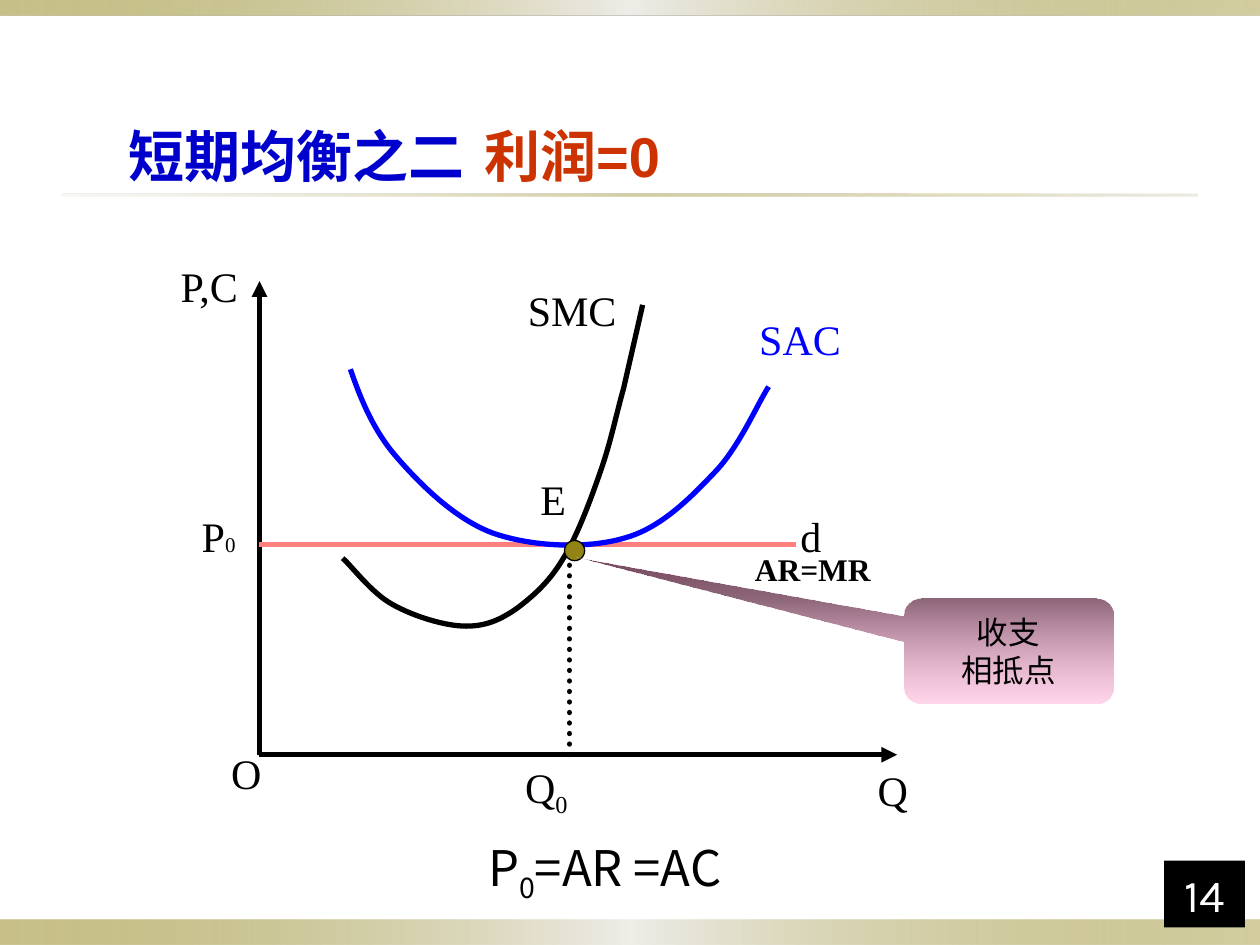
from dataclasses import dataclass

from lxml.etree import SubElement
from pptx import Presentation
from pptx.dml.color import RGBColor
from pptx.enum.dml import MSO_LINE
from pptx.enum.shapes import MSO_CONNECTOR, MSO_SHAPE as Preset
from pptx.enum.text import MSO_ANCHOR as Anchor, PP_ALIGN as Align
from pptx.oxml.ns import qn
from pptx.util import Pt


@dataclass(frozen=True)
class Theme:
    black: str = "000000"
    white: str = "FFFFFF"
    olive: str = "918415"
    title_blue: str = "0000CC"
    title_red: str = "CC3300"
    cost_blue: str = "0000FF"
    demand_pink: str = "FF7F7F"
    title: int = 32
    formula: int = 28
    page: int = 26
    label: int = 24
    note: int = 18
    small: int = 12
    sans: str = "Arial"
    serif: str = "Times New Roman"
    cjk: str = "Noto Sans CJK JP"
    body: str = "Karla"
    stroke: int = 3
    # Gradient stops: position, colour, opacity (all but colour in percent)
    band: tuple = ((0, "918415", 50), (50, "EEEDE8", 100), (100, "918415", 40))
    rule: tuple = ((0, "DCD9CC", 20), (50, "918415", 40), (100, "DCD9CC", 50))
    callout: tuple = ((0, "76475E", 100), (100, "FF99CC", 40))


THEME = Theme()


@dataclass(frozen=True)
class Box:
    left: float
    top: float
    width: float
    height: float

    def inner(self, x, y, width, height):
        return Box(self.left + x, self.top + y, width, height)

    def point(self, x, y):
        return Pt(self.left + x), Pt(self.top + y)

    def lengths(self):
        return [Pt(v) for v in (self.left, self.top, self.width, self.height)]


def rgb(color):
    return RGBColor.from_string(color)


def write(frame, paragraphs, size, font, color, bold=False, align=Align.CENTER,
          anchor=Anchor.MIDDLE, wrap=False):
    """Fill a frame; each paragraph is a list of (text, overrides) runs."""
    for name, value in {"word_wrap": wrap, "vertical_anchor": anchor}.items():
        setattr(frame, name, value)
    for index, runs in enumerate(paragraphs):
        line = frame.add_paragraph() if index else frame.paragraphs[0]
        line.alignment = align
        for text, overrides in runs:
            run = line.add_run()
            run.text = text
            values = {"size": Pt(size), "name": font, "bold": bold}
            extra = dict(overrides)
            baseline = extra.pop("baseline", None)
            for name, value in {**values, **extra}.items():
                setattr(run.font, name, value)
            run.font.color.rgb = rgb(color)
            props = run.font._element
            SubElement(props, qn("a:ea"), typeface=THEME.cjk)
            if baseline:
                props.set("baseline", str(baseline * 1000))


def add_text(slide, box, runs, *style, inset=True, **options):
    frame = slide.shapes.add_textbox(*box.lengths()).text_frame
    write(frame, [runs], *style, **options)
    if not inset:
        for side in ("left", "top", "right", "bottom"):
            setattr(frame, f"margin_{side}", 0)


def add_preset(slide, preset, box, color=None, stops=(), angle=0):
    shape = slide.shapes.add_shape(preset, *box.lengths())
    shape.shadow.inherit = False
    shape.line.fill.background()
    if color:
        shape.fill.solid()
        shape.fill.fore_color.rgb = rgb(color)
    else:
        shape.fill.background()
        gradient(shape._element.spPr.find(qn("a:noFill")), stops, angle)
    return shape


def gradient(placeholder, stops, angle):
    """Put a linear gradient in the place of a noFill element."""
    parent = placeholder.getparent()
    fill = SubElement(parent, qn("a:gradFill"), rotWithShape="1")
    parent.replace(placeholder, fill)
    stop_list = SubElement(fill, qn("a:gsLst"))
    for position, color, opacity in stops:
        stop = SubElement(stop_list, qn("a:gs"), pos=str(position * 1000))
        tint = SubElement(stop, qn("a:srgbClr"), val=color)
        if opacity < 100:
            SubElement(tint, qn("a:alpha"), val=str(opacity * 1000))
    SubElement(fill, qn("a:lin"), ang=str(angle * 60000), scaled="0")


def add_line(slide, start, end, color, dotted=False, arrow=False):
    line = slide.shapes.add_connector(MSO_CONNECTOR.STRAIGHT, *start, *end)
    line.line.color.rgb = rgb(color)
    line.line.width = Pt(THEME.stroke)
    stroke = line.line._get_or_add_ln()
    if dotted:
        line.line.dash_style = MSO_LINE.ROUND_DOT
        stroke.set("cap", "rnd")
    if arrow:
        SubElement(stroke, qn("a:tailEnd"), type="triangle")
    SubElement(line._element.spPr, qn("a:effectLst"))


def add_curve(slide, box, points, color):
    """Draw cubic Bezier pieces: a start point, then three points a piece."""
    start, *rest = [box.point(*point) for point in points]
    builder = slide.shapes.build_freeform(*start)
    builder.add_line_segments(rest, close=False)
    curve = builder.convert_to_shape()
    curve.shadow.inherit = False
    curve.fill.background()
    curve.line.color.rgb = rgb(color)
    curve.line.width = Pt(THEME.stroke)
    outline = curve._element.spPr.find(".//" + qn("a:path"))
    segments = outline.findall(qn("a:lnTo"))
    for first in range(0, len(segments), 3):
        piece = SubElement(outline, qn("a:cubicBezTo"))
        for segment in segments[first:first + 3]:
            piece.append(segment[0])
            outline.remove(segment)


def add_frame(slide, box):
    bands = [(0, 525.6, 720, 14.4, THEME.band), (0, 0, 720, 8.64, THEME.band),
             (36, 110.9, 648, 1.44, THEME.rule)]
    for *place, stops in bands:
        add_preset(slide, Preset.RECTANGLE, box.inner(*place), stops=stops)


def add_title(slide, box):
    add_text(slide, box.inner(173.6, 0, 174.2, box.height), [("利润=0", {})],
             THEME.title, THEME.sans, THEME.title_red, bold=True)
    add_text(slide, box.inner(0, 0, 261.4, box.height), [("短期均衡之二", {})],
             THEME.title, THEME.sans, THEME.title_blue, bold=True,
             align=Align.LEFT)


def add_diagram(slide, box):
    """Cost curves and demand line; the box spans the two axes."""
    price, quantity = 150.4, 177.1
    labels = [
        ([("SAC", {})], (275.8, 12.2, 66.2, 41.8), THEME.cost_blue),
        ([("SMC", {})], (145.5, -4.4, 66.2, 41.8), THEME.black),
        ([("E", {})], (140.4, 108.7, 54.7, 31), THEME.black),
        ([("P,C", {})], (-48.7, -10.1, 40, 25.2), THEME.black),
        ([("Q", {})], (343.5, 280.8, 36.7, 20.2), THEME.black),
        ([("O", {})], (-25.9, 270.7, 36.7, 20.2), THEME.black),
        ([("P", {}), ("0", {"size": Pt(THEME.small)})],
         (-41.7, 130.3, 36.7, 30.2), THEME.black),
        ([("d", {})], (296.7, 130.3, 36.7, 30.2), THEME.black),
        ([("Q", {}), ("0", {"baseline": -25})],
         (145.5, 275.7, 36.7, 30.2), THEME.black),
    ]
    for runs, place, color in labels:
        add_text(slide, box.inner(*place), runs, THEME.label, THEME.serif,
                 color, inset=False)

    origin = box.point(0, box.height)
    for tip in (box.point(0, 0), box.point(box.width, box.height)):
        add_line(slide, origin, tip, THEME.black, arrow=True)
    add_line(slide, box.point(0, price), box.point(306.7, price),
             THEME.demand_pink)
    add_line(slide, box.point(quantity, price), box.point(quantity, box.height),
             THEME.black, dotted=True)

    average_cost = [
        (51.9, 50.4), (57.6, 66.9), (64.8, 84.9), (77.8, 100), (91.5, 115.9),
        (111.6, 136), (133.2, 144), (155.5, 151.9), (187.2, 153.3),
        (208.8, 146.8), (229.7, 141.1), (247, 123.1), (260.7, 108.7),
        (274.3, 94.3), (284.4, 70.5), (290.9, 60.4)]
    marginal_cost = [
        (47.5, 158.4), (52.6, 162.7), (64.1, 178.5), (76.3, 185), (87.9, 191.5),
        (105.9, 197.2), (118.1, 197.2), (129.6, 197.2), (137.5, 193.6),
        (146.9, 187.2), (155.5, 180.7), (164.9, 172.8), (172.8, 159.8),
        (181.5, 146.1), (189.4, 124.5), (195.1, 108), (200.9, 91.4),
        (203.8, 76.3), (208.1, 61.2), (211.7, 45.3), (216.7, 23.7),
        (218.9, 13.6)]
    add_curve(slide, box, average_cost, THEME.cost_blue)
    add_curve(slide, box, marginal_cost, THEME.black)

    add_text(slide, box.inner(253.5, 154, 125.3, 21.6), [("AR=MR", {})],
             THEME.note, THEME.serif, THEME.black, inset=False, bold=True,
             anchor=Anchor.TOP, wrap=True)
    equilibrium = add_preset(slide, Preset.OVAL,
                             box.inner(174.3, 148.3, 11.5, 11.5), THEME.olive)
    equilibrium.line.color.rgb = rgb(THEME.black)
    equilibrium.line.width = Pt(0.75)


def add_callout(slide, box):
    callout = add_preset(slide, Preset.ROUNDED_RECTANGULAR_CALLOUT, box,
                         stops=THEME.callout, angle=90)
    for index, value in enumerate((-2.056, -0.887, 0.167)):
        callout.adjustments[index] = value
    write(callout.text_frame, [[("收支", {})], [("相抵点", {})]], THEME.note,
          THEME.body, THEME.black, wrap=True)


def add_page_number(slide, box):
    page = add_preset(slide, Preset.RECTANGLE, box, THEME.black)
    write(page.text_frame, [[("14", {})]], THEME.page, THEME.body, THEME.white,
          anchor=Anchor.BOTTOM, wrap=True)


def main():
    deck = Presentation()
    deck.slide_width, deck.slide_height = Pt(720), Pt(540)
    slide = deck.slides.add_slide(deck.slide_layouts[6])
    add_frame(slide, Box(0, 0, 720, 540))
    add_title(slide, Box(66.2, 67.7, 281.5, 41.8))
    add_text(slide, Box(216, 479.5, 259.2, 36),
             [("P", {}), ("0", {"baseline": -25}), ("=AR =AC", {})],
             THEME.formula, THEME.cjk, THEME.black)
    add_diagram(slide, Box(148.3, 160.6, 364.3, 270.7))
    add_callout(slide, Box(516.2, 342, 120.2, 59.8))
    add_page_number(slide, Box(665.3, 491.8, 46.1, 38.2))
    deck.save("out.pptx")


if __name__ == "__main__":
    main()
